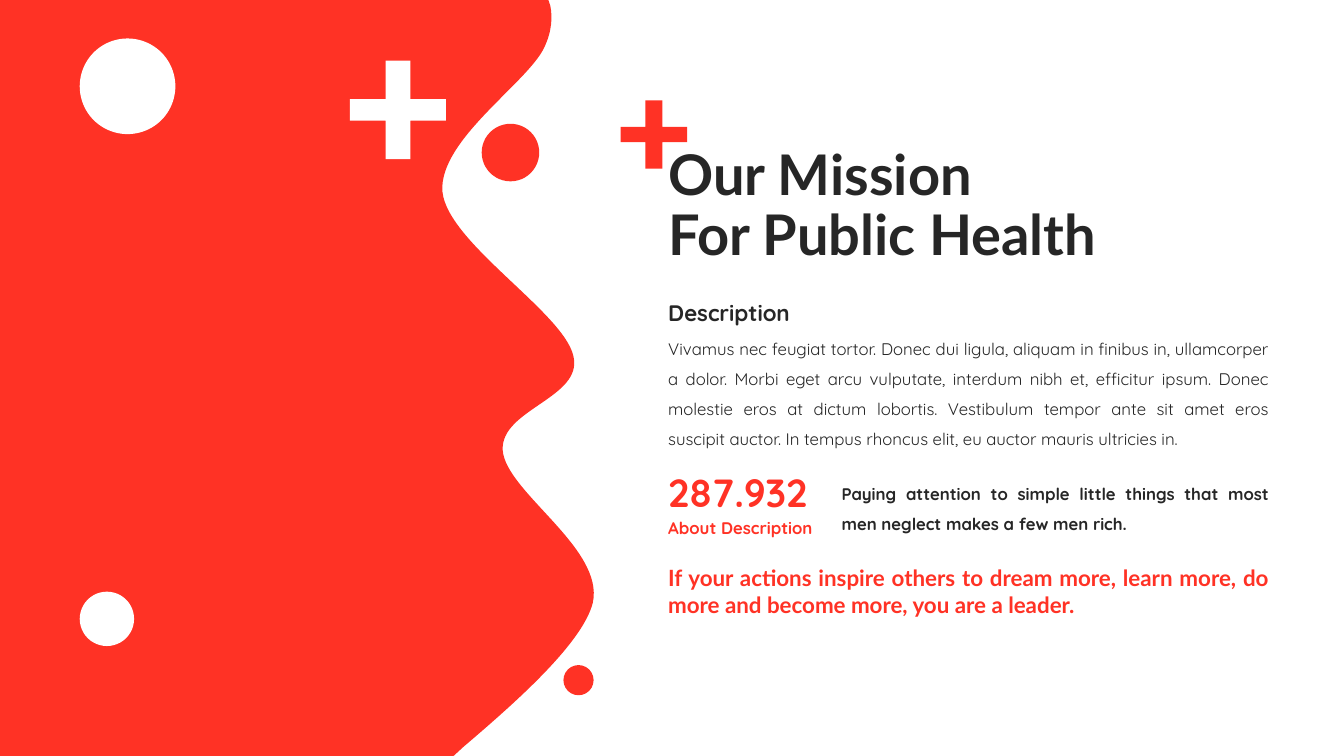
from lxml import etree
from pptx import Presentation
from pptx.dml.color import RGBColor
from pptx.enum.shapes import MSO_SHAPE
from pptx.enum.text import MSO_ANCHOR, MSO_AUTO_SIZE, PP_ALIGN
from pptx.oxml.ns import qn
from pptx.util import Cm, Pt

OVAL = MSO_SHAPE.OVAL
TOP, MIDDLE = MSO_ANCHOR.TOP, MSO_ANCHOR.MIDDLE
LEFT, JUSTIFY = PP_ALIGN.LEFT, PP_ALIGN.JUSTIFY
NO_FIT, GROW = MSO_AUTO_SIZE.NONE, MSO_AUTO_SIZE.SHAPE_TO_FIT_TEXT

COLORS = {"red": "FF3225", "ink": "262626", "white": "FFFFFF"}
WIDTH, HEIGHT = 33.87, 19.05

# Each bend holds two control points and an end point, in cm.
BENDS = [
    ((13.92, 0.41), (13.92, 0.76), (13.72, 1.19)),
    ((13.31, 2.08), (11.05, 3.53), (11.15, 4.83)),
    ((11.28, 6.12), (14.2, 7.87), (14.45, 8.97)),
    ((14.71, 10.03), (12.6, 10.31), (12.67, 11.35)),
    ((12.75, 12.4), (15.24, 13.82), (14.94, 15.19)),
    ((14.68, 16.23), (12.9, 17.78), (11.68, 18.82)),
]


def color(name):
    return RGBColor.from_string(COLORS[name])


def paint(shape, tint):
    shape.shadow.inherit = False
    shape.fill.solid()
    shape.fill.fore_color.rgb = color(tint)
    shape.line.fill.background()


def outline(slide, points, tint):
    """Draw a filled polygon through points given in cm."""
    start, *rest = [(Cm(x), Cm(y)) for x, y in points]
    pen = slide.shapes.build_freeform(*start)
    pen.add_line_segments(rest, close=True)
    shape = pen.convert_to_shape()
    paint(shape, tint)
    return shape


def bend_lines(shape, first, count):
    """Turn each three line segments from the first on into one Bezier curve."""
    lines = list(shape._element.iter(qn("a:lnTo")))
    for start in range(first, first + 3 * count, 3):
        curve = etree.Element(qn("a:cubicBezTo"))
        lines[start].addprevious(curve)
        for line in lines[start:start + 3]:
            curve.append(line[0])
            line.getparent().remove(line)


def wave(slide, left, top, height):
    points = [(0, 0), (13.82, 0), (13.87, 0.15)]
    for bend in BENDS:
        points += bend
    points += [(11.43, height), (0, height)]
    shape = outline(slide, [(left + x, top + y) for x, y in points], "red")
    bend_lines(shape, 2, len(BENDS))
    # Control points reach past the curve, so fit the frame to the curve.
    shape.width = Cm(14.96)
    next(shape._element.iter(qn("a:path"))).set("w", str(shape.width))


def cross(slide, left, top, width, height, stem, beam, tint):
    """Draw a plus sign with a stem and a beam of the given thickness."""
    x1, x2 = (width - stem) / 2, (width + stem) / 2
    y1, y2 = (height - beam) / 2, (height + beam) / 2
    points = [(x1, 0), (x2, 0), (x2, y1), (width, y1), (width, y2), (x2, y2),
              (x2, height), (x1, height), (x1, y2), (0, y2), (0, y1), (x1, y1)]
    outline(slide, [(left + x, top + y) for x, y in points], tint)


def dot(slide, left, top, size, tint):
    paint(slide.shapes.add_shape(OVAL, Cm(left), Cm(top), Cm(size), Cm(size)), tint)


def decor(slide, left, top, height):
    wave(slide, left, top, height)
    cross(slide, left + 15.64, top + 2.53, 1.68, 1.72, 0.43, 0.38, "red")
    cross(slide, left + 8.82, top + 1.53, 2.42, 2.48, 0.62, 0.54, "white")
    for x, y, size, tint in [(2.01, 14.91, 1.37, "white"), (2.01, 0.97, 2.41, "white"),
                             (14.2, 16.76, 0.76, "red"), (12.14, 3.12, 1.45, "red")]:
        dot(slide, left + x, top + y, size, tint)


def style(frame, words, size, tint, font="Quicksand", bold=True,
          align=JUSTIFY, space=1.0, anchor=TOP, fit=GROW):
    frame.word_wrap = True
    frame.auto_size = fit
    frame.vertical_anchor = anchor
    frame.text = words
    para = frame.paragraphs[0]
    para.alignment = align
    para.line_spacing = space
    para.font.size = Pt(size)
    para.font.name = font
    para.font.bold = bold
    para.font.color.rgb = color(tint)


def mission(slide, left, top, width):
    def note(x, y, wide, high, words, size, tint, **look):
        box = slide.shapes.add_textbox(Cm(left + x), Cm(top + y), Cm(wide), Cm(high))
        style(box.text_frame, words, size, tint, **look)

    inset = 4.37
    note(0, 4.77, width, 3.33,
         "Vivamus nec feugiat tortor. Donec dui ligula, aliquam in finibus in, "
         "ullamcorper a dolor. Morbi eget arcu vulputate, interdum nibh et, efficitur "
         "ipsum. Donec molestie eros at dictum lobortis. Vestibulum tempor ante sit amet "
         "eros suscipit auctor. In tempus rhoncus elit, eu auctor mauris ultricies in.",
         12, "ink", bold=False, space=1.5)
    note(0, 3.7, 7.52, 1.14, "Description", 16, "ink", space=1.5)
    note(0, 9.55, inset, 0.76, "About Description", 12, "red", anchor=MIDDLE)
    note(0, 8.3, 5.84, 1.45, "287.932", 28, "red", anchor=MIDDLE)
    note(inset, 8.42, width - inset, 1.7,
         "Paying attention to simple little things that most men neglect "
         "makes a few men rich.", 12, "ink", space=1.5)
    note(0, 10.72, width, 1.63,
         "If your actions inspire others to dream more, learn more, do more "
         "and become more, you are a leader.", 16, "red", font="Lato")

    title = slide.shapes.title
    title.left, title.top = Cm(left), Cm(top)
    title.width, title.height = Cm(12.9), Cm(3.68)
    style(title.text_frame, "Our Mission\vFor Public Health", 40, "ink",
          font="Lato", align=LEFT, space=0.9, anchor=MIDDLE, fit=NO_FIT)
    slide.shapes._spTree.append(title._element)


def main():
    deck = Presentation()
    deck.slide_width, deck.slide_height = Cm(WIDTH), Cm(HEIGHT)
    slide = deck.slides.add_slide(deck.slide_layouts[5])
    decor(slide, 0, 0, HEIGHT)
    mission(slide, 16.59, 3.38, 15.65)
    deck.save("out.pptx")


if __name__ == "__main__":
    main()
